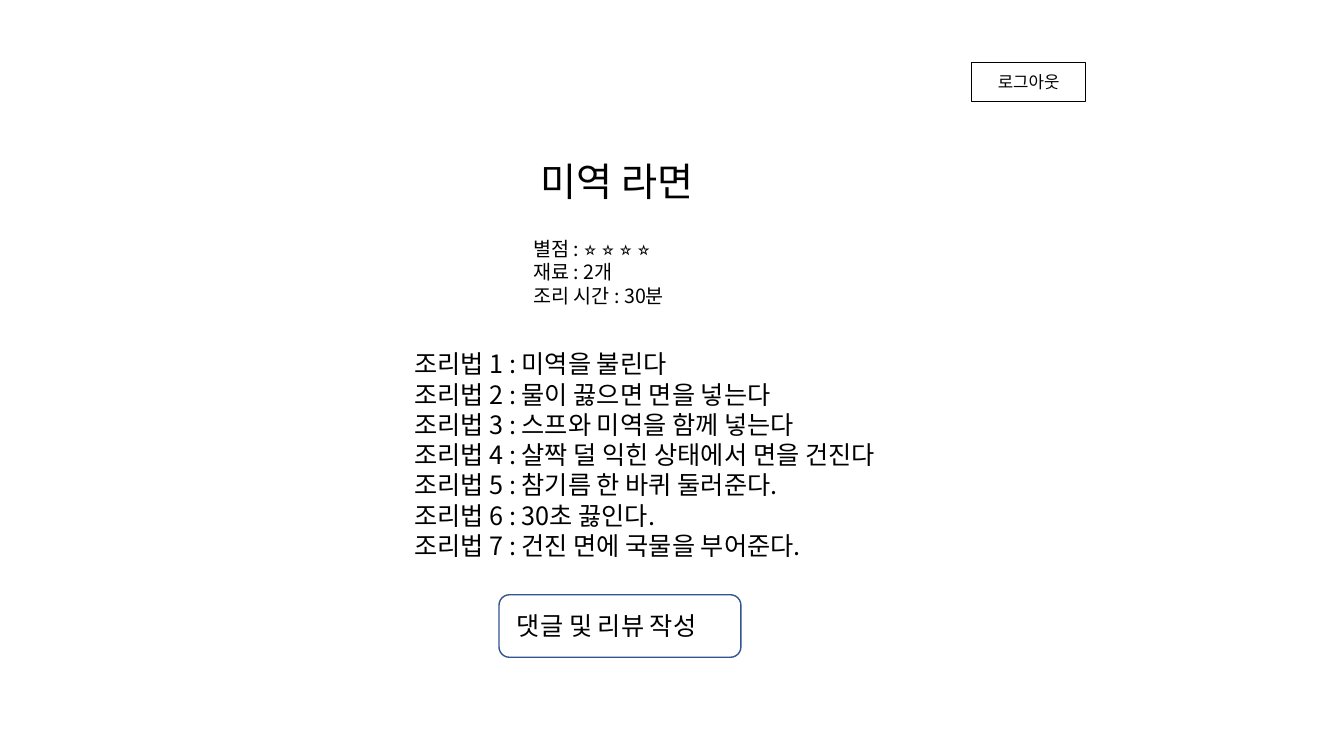
from pptx import Presentation
from pptx.dml.color import RGBColor
from pptx.enum.shapes import MSO_SHAPE
from pptx.enum.text import MSO_ANCHOR, MSO_AUTO_SIZE, PP_ALIGN
from pptx.oxml.ns import qn
from pptx.util import Inches, Pt
from lxml import etree

RECT, ROUNDED = MSO_SHAPE.RECTANGLE, MSO_SHAPE.ROUNDED_RECTANGLE
TOP, MIDDLE = MSO_ANCHOR.TOP, MSO_ANCHOR.MIDDLE
LEFT, CENTER = PP_ALIGN.LEFT, PP_ALIGN.CENTER

RECIPE = "미역 라면"
LOGOUT = "로그아웃"
REVIEW = "댓글 및 리뷰 작성"
FACTS = {"별점": "⭐ ⭐ ⭐ ⭐", "재료": "2개", "조리 시간": "30분"}
STEPS = [
    "미역을 불린다",
    "물이 끓으면 면을 넣는다",
    "스프와 미역을 함께 넣는다",
    "살짝 덜 익힌 상태에서 면을 건진다",
    "참기름 한 바퀴 둘러준다.",
    "30초 끓인다.",
    "건진 면에 국물을 부어준다.",
]

THEME = {
    "font": "Noto Sans CJK KR",
    "ink": RGBColor(0x00, 0x00, 0x00),
    "accent": RGBColor(0x32, 0x54, 0x91),
    "title": 28, "body": 18, "facts": 14, "button": 12,
    "leading": 1.2,
    "line": Pt(1),
}

# left, top, width, height in percent of the slide
AREAS = {
    "logout": (72.3, 8.27, 8.48, 5.2),
    "title": (39.45, 20.13, 42.38, 7.6),
    "steps": (30.08, 45.47, 40.5, 29.6),
    "facts": (38.93, 30.67, 16.2, 13.87),
    "review": (37.73, 80.13, 16.8, 5.33),
    "review_frame": (37.13, 78.67, 18, 8.27),
}

deck = Presentation()
deck.slide_width, deck.slide_height = Inches(13.33), Inches(7.5)
slide = deck.slides.add_slide(deck.slide_layouts[5])


def area(name):
    sides = (deck.slide_width, deck.slide_height) * 2
    return [int(side * share / 100) for side, share in zip(sides, AREAS[name])]


def write(shape, lines, size, align=LEFT, anchor=TOP):
    frame = shape.text_frame
    frame.text = "\n".join(lines)
    layout = {"word_wrap": True, "auto_size": MSO_AUTO_SIZE.NONE,
              "vertical_anchor": anchor}
    for key, value in layout.items():
        setattr(frame, key, value)
    letters = {"name": THEME["font"], "size": Pt(size)}
    for paragraph in frame.paragraphs:
        paragraph.alignment = align
        paragraph.line_spacing = Pt(round(size * THEME["leading"], 1))
        for run in paragraph.runs:
            for key, value in letters.items():
                setattr(run.font, key, value)
            run.font.color.rgb = THEME["ink"]
            east_asian = etree.SubElement(run.font._element, qn("a:ea"))
            east_asian.set("typeface", THEME["font"])


def outline(name, kind, color):
    shape = slide.shapes.add_shape(kind, *area(name))
    shape.shadow.inherit = False
    shape.fill.background()
    shape.line.color.rgb = color
    shape.line.width = THEME["line"]
    return shape


title = slide.shapes.title
for key, value in zip(("left", "top", "width", "height"), area("title")):
    setattr(title, key, value)
write(title, [RECIPE], THEME["title"])

logout = outline("logout", RECT, THEME["ink"])
write(logout, [LOGOUT], THEME["button"], CENTER, MIDDLE)

texts = {
    "steps": ([f"조리법 {number} : {step}" for number, step in enumerate(STEPS, 1)],
              THEME["body"]),
    "facts": ([f"{label} : {value}" for label, value in FACTS.items()],
              THEME["facts"]),
    "review": ([REVIEW], THEME["body"]),
}
for name, (lines, size) in texts.items():
    write(slide.shapes.add_textbox(*area(name)), lines, size)

outline("review_frame", ROUNDED, THEME["accent"])

deck.save("out.pptx")
